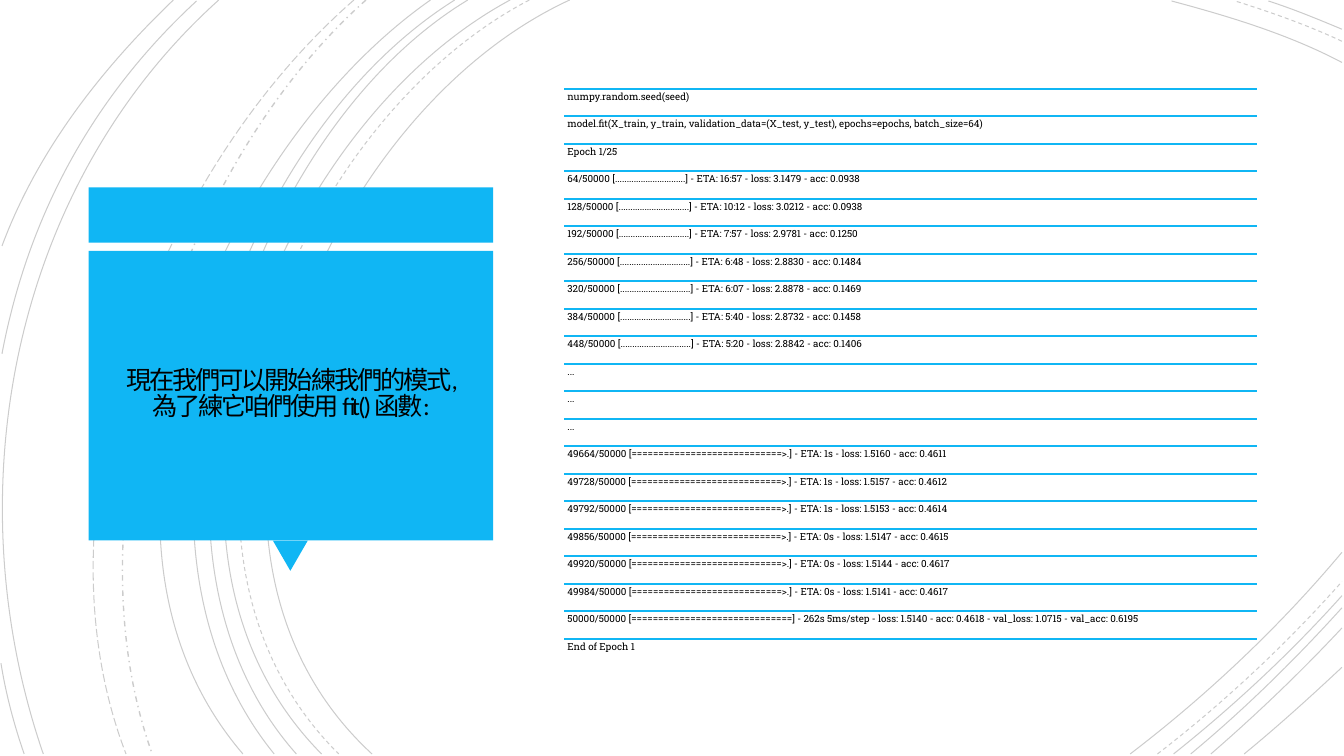
"""Build the slide that shows the training log of model.fit()."""
from lxml.etree import SubElement
from pptx import Presentation
from pptx.dml.color import RGBColor
from pptx.enum.dml import MSO_LINE as Dash
from pptx.enum.shapes import MSO_CONNECTOR as Connector, MSO_SHAPE as Shape
from pptx.enum.text import MSO_ANCHOR as Anchor, MSO_AUTO_SIZE as AutoSize, PP_ALIGN as Align
from pptx.oxml.ns import qn
from pptx.util import Inches, Pt

BLUE = RGBColor(0x10, 0xB6, 0xF4)
BLACK = RGBColor(0, 0, 0)
WIDTH, HEIGHT = 13.33, 7.5
BOTTOM, RIGHT = 7.48, 13.31


def place(left, top, width, height):
    """Turn shares of the slide into lengths."""
    return (Inches(left * WIDTH), Inches(top * HEIGHT),
            Inches(width * WIDTH), Inches(height * HEIGHT))


def write(box, text, *, size, font, spacing, inset, align=Align.LEFT, anchor=Anchor.TOP, tracking=0):
    """Fill a text frame with one formatted paragraph."""
    frame = box.text_frame
    frame.word_wrap = True
    frame.auto_size = AutoSize.NONE
    frame.vertical_anchor = anchor
    frame.margin_left = frame.margin_right = Inches(inset)
    frame.margin_top = frame.margin_bottom = Inches(inset)
    para = frame.paragraphs[0]
    para.alignment = align
    para.line_spacing = spacing
    span = para.add_run()
    span.text = text
    span.font.size = Pt(size)
    span.font.name = font
    span.font.color.rgb = BLACK
    if tracking:
        span.font._element.set("spc", str(int(tracking * 100)))


deck = Presentation()
deck.slide_width, deck.slide_height = Inches(WIDTH), Inches(HEIGHT)
page = deck.slides.add_slide(deck.slide_layouts[5])

arcs = [
    ((5.65, 0), (3.15, 1.15), (1.43, 5.4), (3.69, BOTTOM), Dash.SOLID),
    ((RIGHT, 0.62), (12.78, 0.34), (12.18, 0.16), (11.62, 0.01), Dash.SOLID),
    ((11.21, BOTTOM), (11.97, 6.9), (12.69, 6.22), (RIGHT, 5.48), Dash.SOLID),
    ((5.25, 0), (2.85, 1.25), (1.23, 5.37), (3.36, BOTTOM), Dash.DASH),
    ((RIGHT, 0.41), (12.97, 0.25), (12.6, 0.12), (12.25, 0.01), Dash.DASH),
    ((11.48, BOTTOM), (12.13, 6.98), (12.75, 6.4), (RIGHT, 5.77), Dash.DASH),
    ((5.06, 0), (2.7, 1.27), (1.1, 5.37), (3.19, BOTTOM), Dash.SOLID),
    ((RIGHT, 0.29), (13.07, 0.19), (12.83, 0.09), (12.58, 0.01), Dash.SOLID),
    ((11.64, BOTTOM), (12.23, 7.01), (12.8, 6.48), (RIGHT, 5.91), Dash.SOLID),
    ((4.64, 0), (2.44, 1.33), (1.1, 5.41), (2.94, BOTTOM), Dash.SOLID),
    ((11.81, BOTTOM), (12.34, 7.04), (12.84, 6.55), (RIGHT, 6.03), Dash.SOLID),
    ((4.51, 0), (2.31, 1.38), (0.97, 5.33), (2.72, BOTTOM), Dash.SOLID),
    ((12.01, BOTTOM), (12.46, 7.09), (12.9, 6.67), (RIGHT, 6.23), Dash.SOLID),
    ((4.27, 0), (2.17, 1.47), (0.53, 5.29), (2.41, BOTTOM), Dash.SOLID),
    ((12.34, BOTTOM), (12.67, 7.21), (12.99, 6.92), (RIGHT, 6.62), Dash.SOLID),
    ((3.63, 0), (1.76, 1.66), (0.65, 5.09), (1.51, BOTTOM), Dash.DASH_DOT),
    ((3.51, 0), (1.57, 1.69), (0.29, 4.99), (1.25, BOTTOM), Dash.LONG_DASH),
    ((2.17, 0), (0.11, 1.85), (-0.46, 4.9), (0.43, BOTTOM), Dash.SOLID),
    ((1.95, 0.01), (0.92, 0.96), (0.28, 2.14), (0.02, 3.51), Dash.SOLID),
    ((0.01, 6.58), (0.06, 6.89), (0.14, 7.19), (0.24, BOTTOM), Dash.SOLID),
    ((1.72, 0), (1, 0.69), (0.37, 1.5), (0.02, 2.44), Dash.SOLID),
]
for *controls, dash in arcs:
    start, *others = [(Inches(x), Inches(y)) for x, y in controls]
    outline = page.shapes.build_freeform(*start)
    outline.add_line_segments(others, close=False)
    arc = outline.convert_to_shape()
    segments = list(arc.element.iter(qn("a:lnTo")))
    curve = SubElement(segments[0].getparent(), qn("a:cubicBezTo"))
    for segment in segments:
        curve.append(segment[0])
        segment.getparent().remove(segment)
    arc.shadow.inherit = False
    arc.fill.background()
    arc.line.color.rgb = BLACK
    arc.line.width = Pt(1 if dash == Dash.DASH_DOT else 0.75)
    arc.line.dash_style = dash
    ink = arc.element.spPr.find(qn("a:ln")).find(".//" + qn("a:srgbClr"))
    SubElement(ink, qn("a:alpha")).set("val", "20000")

panel_parts = [
    (Shape.RECTANGLE, (0.066, 0.248, 0.301, 0.073), 0),
    (Shape.ISOSCELES_TRIANGLE, (0.203, 0.715, 0.026, 0.04), 180),
    (Shape.RECTANGLE, (0.066, 0.332, 0.301, 0.383), 0),
]
for kind, area, rotation in panel_parts:
    part = page.shapes.add_shape(kind, *place(*area))
    part.rotation = rotation
    part.shadow.inherit = False
    part.fill.solid()
    part.fill.fore_color.rgb = BLUE
    part.line.fill.background()

title = page.shapes.title
title.element.getparent().append(title.element)
title.left, title.top, title.width, title.height = place(0.073, 0.343, 0.287, 0.359)
write(title, "現在我們可以開始練我們的模式, 為了練它咱們使用 fit() 函數:", size=18, font="Calibri",
      spacing=0.85, inset=0.25, align=Align.CENTER, anchor=Anchor.MIDDLE, tracking=-1.5)

first_steps = [
    (64, "16:57", "3.1479", "0.0938"),
    (128, "10:12", "3.0212", "0.0938"),
    (192, "7:57", "2.9781", "0.1250"),
    (256, "6:48", "2.8830", "0.1484"),
    (320, "6:07", "2.8878", "0.1469"),
    (384, "5:40", "2.8732", "0.1458"),
    (448, "5:20", "2.8842", "0.1406"),
]
last_steps = [
    (49664, "1s", "1.5160", "0.4611"),
    (49728, "1s", "1.5157", "0.4612"),
    (49792, "1s", "1.5153", "0.4614"),
    (49856, "0s", "1.5147", "0.4615"),
    (49920, "0s", "1.5144", "0.4617"),
    (49984, "0s", "1.5141", "0.4617"),
]
first_log, last_log = [
    [f"{done}/50000 [{bar}] - ETA: {eta} - loss: {loss} - acc: {acc}"
     for done, eta, loss, acc in steps]
    for steps, bar in ((first_steps, "." * 30), (last_steps, "=" * 28 + ">."))
]
log_lines = [
    "numpy.random.seed(seed)",
    "model.fit(X_train, y_train, validation_data=(X_test, y_test), epochs=epochs, batch_size=64)",
    "Epoch 1/25",
    *first_log,
    *["..."] * 3,
    *last_log,
    f"50000/50000 [{'=' * 30}] - 262s 5ms/step - loss: 1.5140 - acc: 0.4618"
    " - val_loss: 1.0715 - val_acc: 0.6195",
    "End of Epoch 1",
]
log_top, log_bottom = 0.88 / HEIGHT, 6.61 / HEIGHT
row_height = (log_bottom - log_top) / len(log_lines)
for row, text in enumerate(log_lines):
    left, top, width, height = place(0.42, log_top + row * row_height, 0.515, row_height)
    rule = page.shapes.add_connector(Connector.STRAIGHT, left, top, left + width, top)
    rule.line.color.rgb = BLUE
    rule.line.width = Pt(1.25)
    SubElement(rule.element.spPr, qn("a:effectLst"))
    entry = page.shapes.add_textbox(left, top, width, height)
    write(entry, text, size=7, font="Roboto Slab", spacing=0.9, inset=0.03)

deck.save("out.pptx")
